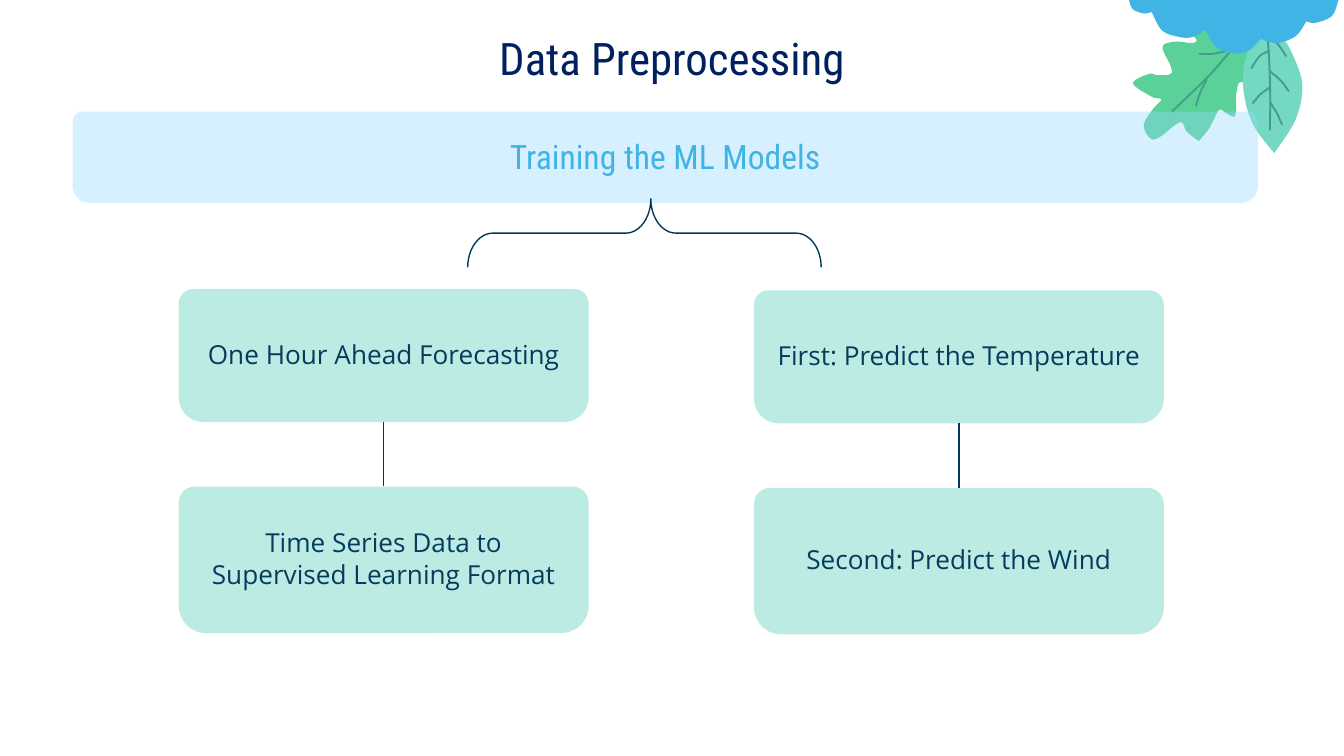
import pptx
import pptx.util
import pptx.dml.color
import pptx.enum.shapes
import pptx.enum.text
import pptx.oxml.ns
from lxml import etree

Inches = pptx.util.Inches
Pt = pptx.util.Pt
SHAPE = pptx.enum.shapes.MSO_SHAPE
MIDDLE = pptx.enum.text.MSO_ANCHOR.MIDDLE
CENTER = pptx.enum.text.PP_ALIGN.CENTER

COLORS = {
    "title": "002060", "band": "95D8FF", "sky": "40B4E5",
    "box": "49CBB2", "ink": "053B5C", "line": "00385A",
    "oak": "5AD199", "leaf": "74D8C2", "vein": "439D8A",
}
HEAD = {"size": Pt(24), "name": "Roboto Condensed", "bold": False}
BAND = {"size": Pt(18), "name": "Roboto Condensed", "bold": False}
BODY = {"size": Pt(14), "name": "Open Sans", "bold": False}

# Left edge and top of each column, with its two texts
COLUMNS = [
    (5.61, 2.16, "First: Predict the Temperature", "Second: Predict the Wind"),
    (1.33, 2.15, "One Hour Ahead Forecasting",
     "Time Series Data to Supervised Learning Format"),
]
STEP = 1.47
GRAIN = 1000  # freeform units to the inch

# Each outline is a list of smooth strokes that meet at sharp corners
OAK = [[
    (8.92, 1.05), (9, 0.95), (9.07, 0.82), (9.12, 0.84), (9.19, 0.86),
    (9.2, 0.69), (9.24, 0.61), (9.39, 0.71), (9.44, 0.64), (9.38, 0.49),
    (9.35, 0.33), (9.37, 0.23), (9.24, 0.19), (9.1, 0.16), (8.88, 0.09),
    (8.81, 0.12), (8.82, 0.21), (8.9, 0.29), (8.87, 0.32), (8.74, 0.31),
    (8.65, 0.35), (8.71, 0.49), (8.71, 0.55), (8.61, 0.56), (8.55, 0.55),
    (8.43, 0.62), (8.57, 0.72), (8.64, 0.74), (8.58, 0.81), (8.51, 0.93),
    (8.56, 1.03), (8.63, 1.02), (8.78, 0.91), (8.83, 0.98), (8.92, 1.05),
]]
LEAF = [
    [(9.42, 0.21), (9.28, 0.4), (9.25, 0.65), (9.32, 0.92), (9.48, 1.14)],
    [(9.48, 1.14), (9.64, 0.89), (9.69, 0.63), (9.61, 0.39), (9.53, 0.27),
     (9.42, 0.21)],
]
CLOUD = [
    [(8.4, 0), (9.96, 0)],
    [(9.96, 0), (9.91, 0.12), (9.79, 0.17), (9.72, 0.16)],
    [(9.72, 0.16), (9.64, 0.27), (9.5, 0.32), (9.38, 0.29)],
    [(9.38, 0.29), (9.3, 0.37), (9.19, 0.4), (9.05, 0.35), (8.97, 0.22)],
    [(8.97, 0.22), (8.89, 0.27), (8.8, 0.28), (8.65, 0.23), (8.57, 0.09)],
    [(8.57, 0.09), (8.51, 0.1), (8.43, 0.07), (8.4, 0)],
]
OAK_VEINS = [
    [(8.72, 0.83), (8.98, 0.58), (9.14, 0.4), (9.25, 0.3), (9.37, 0.22),
     (9.65, 0.14)],
    [(8.92, 0.4), (9.03, 0.4), (9.16, 0.37)],
    [(8.9, 0.79), (8.93, 0.69), (8.98, 0.59)],
]
LEAF_VEINS = [
    [(9.42, 0.19), (9.44, 0.38), (9.45, 0.64), (9.45, 0.97)],
    [(9.44, 0.27), (9.51, 0.33), (9.57, 0.42)],
    [(9.44, 0.38), (9.37, 0.42), (9.31, 0.51)],
    [(9.45, 0.53), (9.53, 0.6), (9.59, 0.68)],
    [(9.45, 0.65), (9.38, 0.7), (9.32, 0.77)],
    [(9.45, 0.76), (9.5, 0.84), (9.54, 0.93)],
]


def rgb(key):
    return pptx.dml.color.RGBColor.from_string(COLORS[key])


def smooth(stroke, steps=6):
    """Points on a Catmull-Rom curve through the stroke, in grains."""
    pts = [stroke[0], *stroke, stroke[-1]]
    curve = [stroke[0]]
    for a, b, c, d in zip(pts, pts[1:], pts[2:], pts[3:]):
        for i in range(1, steps + 1):
            t = i / steps
            curve.append(tuple(
                (2 * q + (r - p) * t + (2 * p - 5 * q + 4 * r - s) * t ** 2
                 + (3 * q - p - 3 * r + s) * t ** 3) / 2
                for p, q, r, s in zip(a, b, c, d)))
    return [(round(x * GRAIN), round(y * GRAIN)) for x, y in curve]


def trace(slide, strokes):
    """Freeform whose strokes join where one starts at the last one's end."""
    curves = [smooth(stroke) for stroke in strokes]
    pen = slide.shapes.build_freeform(*curves[0][0], scale=Inches(1) / GRAIN)
    end = curves[0][0]
    for curve in curves:
        if curve[0] != end:
            pen.move_to(*curve[0])
        pen.add_line_segments(curve[1:], close=False)
        end = curve[-1]
    shape = pen.convert_to_shape()
    shape.shadow.inherit = False
    return shape


def add_patch(slide, strokes, key):
    shape = trace(slide, strokes)
    shape.fill.solid()
    shape.fill.fore_color.rgb = rgb(key)
    shape.line.fill.background()


def add_veins(slide, strokes):
    shape = trace(slide, strokes)
    shape.fill.background()
    set_line(shape.line, "vein", 1)


def set_line(line, key, width):
    line.color.rgb = rgb(key)
    line.width = Pt(width)


def set_text(shape, text, font, key):
    frame = shape.text_frame
    frame.word_wrap = True
    frame.vertical_anchor = MIDDLE
    for side in ("left", "top", "right", "bottom"):
        setattr(frame, "margin_" + side, Inches(0.1))
    frame.text = text
    para = frame.paragraphs[0]
    para.alignment = CENTER
    for name, value in font.items():
        setattr(para.runs[0].font, name, value)
    para.runs[0].font.color.rgb = rgb(key)


def add_box(slide, box, text, fill, font, key):
    shape = slide.shapes.add_shape(SHAPE.ROUND_2_SAME_RECTANGLE, *map(Inches, box))
    shape.adjustments[0], shape.adjustments[1] = 0.11, 0.186
    shape.shadow.inherit = False
    shape.fill.solid()
    shape.fill.fore_color.rgb = rgb(fill)
    tint = next(shape._element.spPr.iter(pptx.oxml.ns.qn("a:srgbClr")))
    etree.SubElement(tint, pptx.oxml.ns.qn("a:alpha"), val="37000")
    shape.line.fill.background()
    set_text(shape, text, font, key)
    return shape


def add_link(slide, upper, lower):
    link = slide.shapes.add_connector(
        pptx.enum.shapes.MSO_CONNECTOR.STRAIGHT, 0, 0, 0, 0)
    link.begin_connect(upper, 2)
    link.end_connect(lower, 0)
    set_line(link.line, "line", 0.75)
    etree.SubElement(link._element.spPr, pptx.oxml.ns.qn("a:effectLst"))


def add_brace(slide):
    brace = slide.shapes.add_shape(
        SHAPE.LEFT_BRACE, Inches(4.54), Inches(0.42), Inches(0.51), Inches(2.63))
    brace.rotation = 90
    brace.adjustments[0], brace.adjustments[1] = 0.366, 0.482
    brace.shadow.inherit = False
    brace.fill.background()
    set_line(brace.line, "line", 0.75)


def main():
    deck = pptx.Presentation()
    deck.slide_width = Inches(10)
    deck.slide_height = deck.slide_width * 9 // 16
    slide = deck.slides.add_slide(deck.slide_layouts[5])

    # Title
    title = slide.shapes.title
    title.left, title.top = Inches(0), Inches(0.11)
    title.width, title.height = Inches(10), Inches(0.63)
    set_text(title, "Data Preprocessing", HEAD, "title")

    # Leaves under a cloud in the corner
    add_patch(slide, OAK, "oak")
    add_veins(slide, OAK_VEINS)
    add_patch(slide, LEAF, "leaf")
    add_veins(slide, LEAF_VEINS)
    add_patch(slide, CLOUD, "sky")

    # Band and brace
    add_box(slide, (0.54, 0.83, 8.82, 0.68), "Training the ML Models",
            "band", BAND, "sky")
    add_brace(slide)

    # Two columns of linked boxes
    for left, top, first, second in COLUMNS:
        upper = add_box(slide, (left, top, 3.05, 0.99), first, "box", BODY, "ink")
        lower = add_box(slide, (left, top + STEP, 3.05, 1.09), second,
                        "box", BODY, "ink")
        add_link(slide, upper, lower)

    deck.save("out.pptx")


if __name__ == "__main__":
    main()
